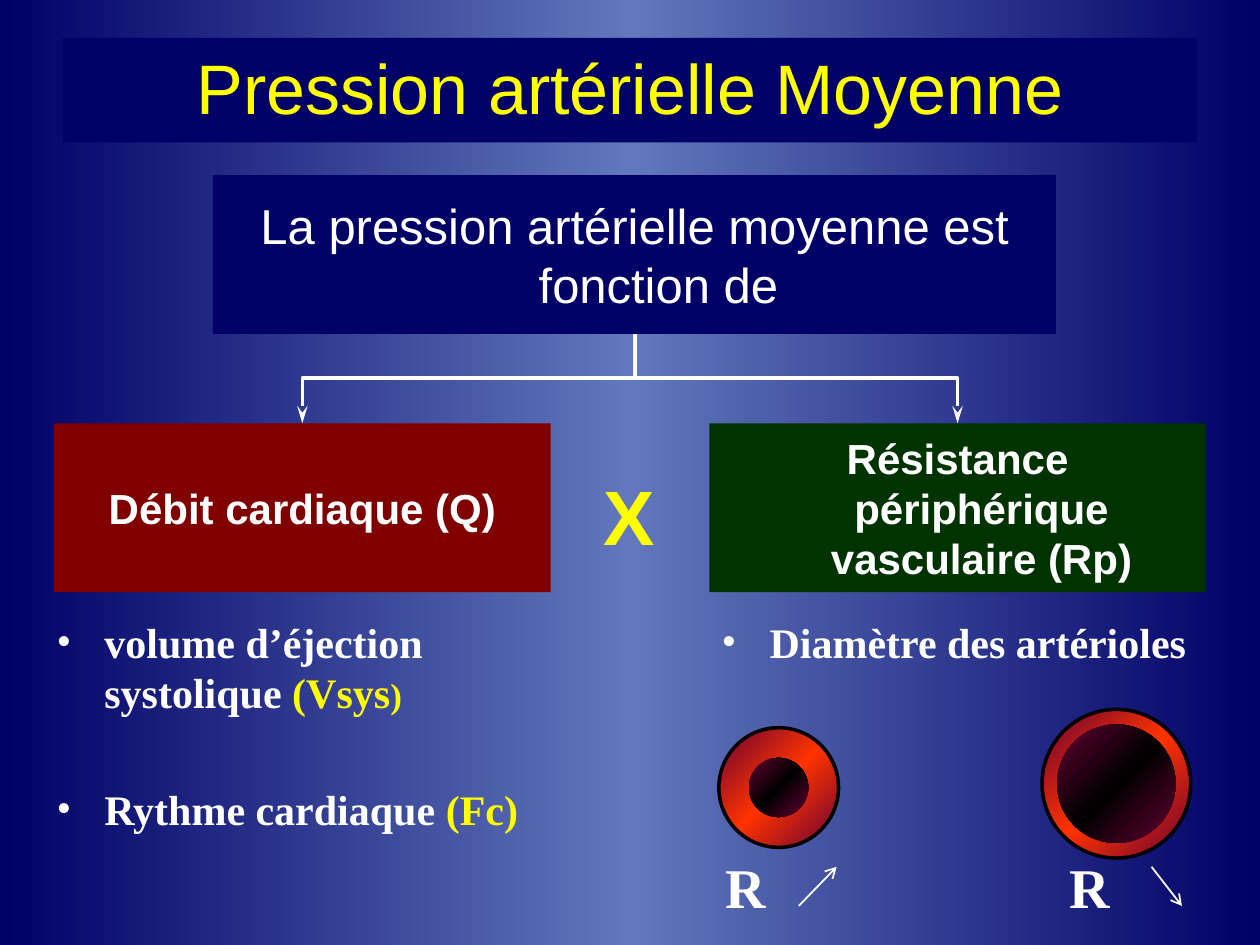
from copy import deepcopy
from dataclasses import dataclass

from lxml.etree import SubElement
from pptx import Presentation
from pptx.dml.color import RGBColor
from pptx.enum.shapes import MSO_CONNECTOR, MSO_SHAPE
from pptx.enum.text import MSO_ANCHOR, MSO_AUTO_SIZE, PP_ALIGN
from pptx.oxml.ns import qn
from pptx.util import Inches, Pt


@dataclass(frozen=True)
class Theme:
    navy: str = "000066"
    steel: str = "6277BC"
    maroon: str = "800000"
    green: str = "003300"
    yellow: str = "FFFF00"
    white: str = "FFFFFF"
    black: str = "000000"
    wine: str = "660033"
    red: str = "FF3300"
    sans: str = "Arial"
    serif: str = "Times New Roman"
    title: int = 40
    statement: int = 28
    body: int = 24
    small: int = 20
    factor: int = 44
    label: int = 32


THEME = Theme()
HANG = 0.38


def rgb(color):
    return RGBColor.from_string(color)


def inches(*values):
    return [Inches(value) for value in values]


def set_solid(shape, color):
    shape.fill.solid()
    shape.fill.fore_color.rgb = rgb(color)


def set_gradient(fill, element, edge, middle, angle):
    """Give a linear gradient that runs edge, middle, edge."""
    fill.gradient()
    fill.gradient_angle = 360 - angle if angle else 0
    first, centre = fill.gradient_stops
    first.color.rgb, first.position = rgb(edge), 0
    centre.color.rgb, centre.position = rgb(middle), 0.5
    stops = element.xpath(".//a:gsLst")[0]
    stops.append(deepcopy(stops[0]))
    fill.gradient_stops[2].position = 1


def set_line(shape, width, arrow, length="med"):
    shape.line.color.rgb = rgb(THEME.white)
    shape.line.width = Pt(width)
    line = shape.element.xpath(".//a:ln")[0]
    SubElement(line, qn("a:tailEnd"), type=arrow, len=length)


def set_hang(para, bullet=False):
    props = para._p.get_or_add_pPr()
    props.set("marL", str(Inches(HANG)))
    props.set("indent", str(-Inches(HANG)))
    if bullet:
        SubElement(props, qn("a:buFont"), typeface=THEME.serif)
        SubElement(props, qn("a:buChar"), char="•")


def add_span(para, text, size, color, font, bold=True):
    span = para.add_run()
    span.text = text
    span.font.size = Pt(size)
    span.font.bold = bold
    span.font.name = font
    span.font.color.rgb = rgb(color)


def add_title(page, text):
    title = page.shapes.title
    title.left, title.top, title.width, title.height = inches(0.5, 0.3, 9, 0.83)
    set_solid(title, THEME.navy)
    frame = title.text_frame
    frame.auto_size = MSO_AUTO_SIZE.NONE
    frame.vertical_anchor = MSO_ANCHOR.TOP
    para = frame.paragraphs[0]
    para.alignment = PP_ALIGN.CENTER
    add_span(para, text, THEME.title, THEME.yellow, THEME.sans, bold=False)


def add_panel(page, place, color, text, size, bold=True):
    panel = page.shapes.add_shape(MSO_SHAPE.RECTANGLE, *inches(*place))
    panel.shadow.inherit = False
    set_solid(panel, color)
    panel.line.fill.background()
    frame = panel.text_frame
    frame.word_wrap = True
    frame.vertical_anchor = MSO_ANCHOR.MIDDLE
    para = frame.paragraphs[0]
    para.alignment = PP_ALIGN.CENTER
    set_hang(para)
    add_span(para, text, size, THEME.white, THEME.sans, bold)


def add_branch(page, start, bend, end):
    """Draw an angled arrow that goes down, across and down."""
    (x1, y1), (x2, y2) = start, end
    builder = page.shapes.build_freeform(*inches(x1, y1))
    corners = [(x1, bend), (x2, bend), (x2, y2)]
    builder.add_line_segments([inches(*corner) for corner in corners], close=False)
    branch = builder.convert_to_shape()
    branch.shadow.inherit = False
    branch.fill.background()
    set_line(branch, 2, "stealth", length="lg")


def add_bullets(page, place, items):
    box = page.shapes.add_textbox(*inches(*place))
    frame = box.text_frame
    frame.word_wrap = True
    for index, spans in enumerate(items):
        para = frame.add_paragraph() if index else frame.paragraphs[0]
        set_hang(para, bullet=True)
        if index:
            para.space_before = Pt(38)
        for text, size, color in spans:
            add_span(para, text, size, color, THEME.serif)


def add_label(page, place, text, size, color, font):
    box = page.shapes.add_textbox(*inches(*place))
    frame = box.text_frame
    frame.word_wrap = False
    frame.auto_size = MSO_AUTO_SIZE.SHAPE_TO_FIT_TEXT
    add_span(frame.paragraphs[0], text, size, color, font)


def add_disc(page, centre, diameter, middle, outlined):
    x, y = centre
    place = inches(x - diameter / 2, y - diameter / 2, diameter, diameter)
    disc = page.shapes.add_shape(MSO_SHAPE.OVAL, *place)
    disc.shadow.inherit = False
    set_gradient(disc.fill, disc.element, THEME.wine, middle, 45)
    if outlined:
        disc.line.color.rgb = rgb(THEME.black)
        disc.line.width = Pt(2)
    else:
        disc.line.fill.background()


def add_arteriole(page, centre, wall, lumen):
    add_disc(page, centre, wall, THEME.red, outlined=True)
    add_disc(page, centre, lumen, THEME.black, outlined=False)


def add_trend(page, start, end):
    arrow = page.shapes.add_connector(MSO_CONNECTOR.STRAIGHT, *inches(*start, *end))
    set_line(arrow, 1, "arrow")
    SubElement(arrow.element.spPr, qn("a:effectLst"))


def main():
    deck = Presentation()
    deck.slide_width, deck.slide_height = inches(10, 7.5)
    page = deck.slides.add_slide(deck.slide_layouts[5])
    set_gradient(page.background.fill, page.element, THEME.navy, THEME.steel, 0)

    add_title(page, "Pression artérielle Moyenne")
    add_panel(page, (1.69, 1.39, 6.69, 1.26), THEME.navy,
              "La pression artérielle moyenne est fonction de", THEME.statement, bold=False)
    factors = [
        (0.43, THEME.maroon, "Débit cardiaque (Q)"),
        (5.63, THEME.green, "Résistance périphérique vasculaire (Rp)"),
    ]
    width = 3.94
    for left, color, text in factors:
        add_panel(page, (left, 3.36, width, 1.34), color, text, THEME.body)
        add_branch(page, (5.04, 2.65), 3, (left + width / 2, 3.36))
    add_label(page, (4.69, 3.67, 0.62, 0.84), "X", THEME.factor, THEME.yellow, THEME.sans)

    add_bullets(page, (5.63, 4.84, width, 1.73),
                [[("Diamètre des artérioles", THEME.body, THEME.white)]])
    add_bullets(page, (0.35, 4.84, 4.25, 1.73), [
        [("volume d’éjection systolique ", THEME.body, THEME.white),
         ("(Vsys", THEME.body, THEME.yellow),
         (")", THEME.small, THEME.yellow)],
        [("Rythme cardiaque ", THEME.body, THEME.white),
         ("(Fc)", THEME.body, THEME.yellow)],
    ])

    add_arteriole(page, (6.18, 6.25), 0.95, 0.47)
    add_arteriole(page, (8.86, 6.22), 1.18, 0.94)
    for left in (5.66, 8.39):
        add_label(page, (left, 6.72, 0.52, 0.63), "R", THEME.label, THEME.white, THEME.serif)
    add_trend(page, (6.34, 7.19), (6.64, 6.88))
    add_trend(page, (9.14, 6.88), (9.38, 7.19))
    deck.save("out.pptx")


if __name__ == "__main__":
    main()
